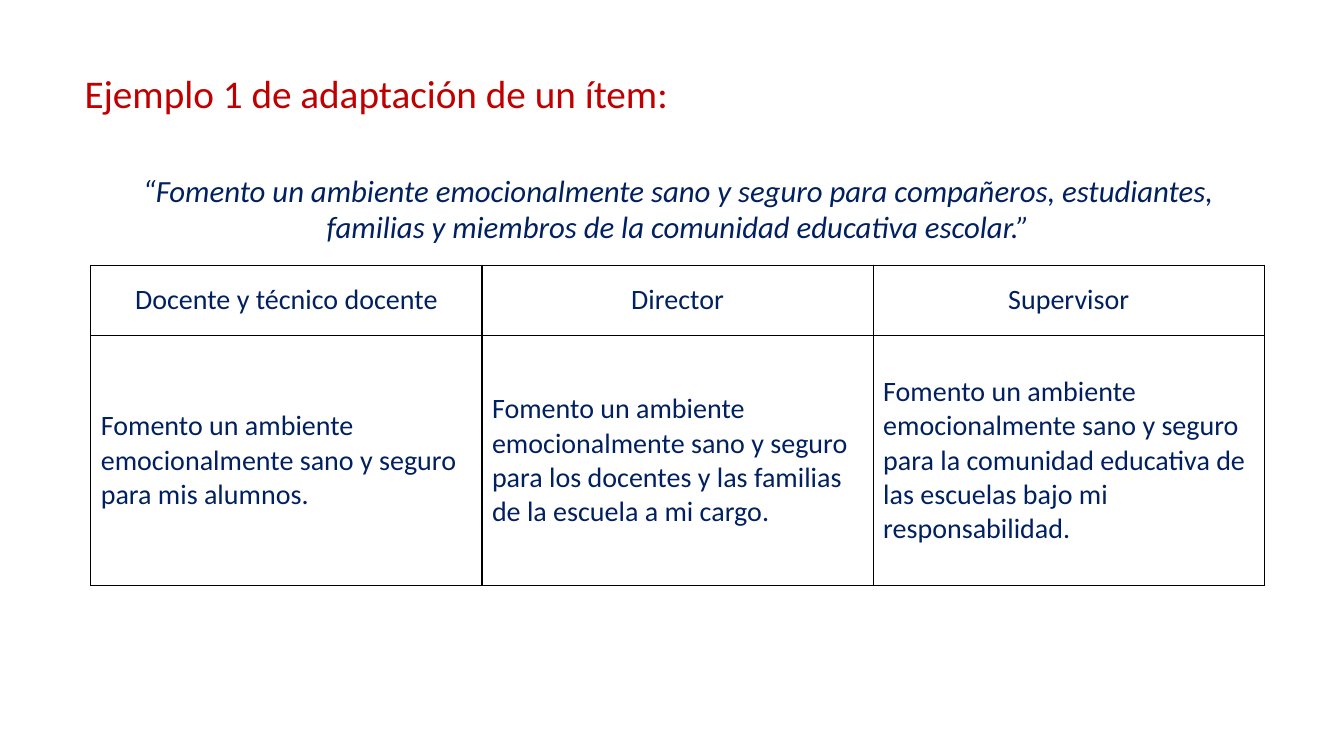
from dataclasses import dataclass

from lxml import etree
from pptx import Presentation
from pptx.dml.color import RGBColor
from pptx.enum.text import MSO_ANCHOR, PP_ALIGN
from pptx.oxml.ns import qn
from pptx.util import Inches, Pt

LEFT, CENTER = PP_ALIGN.LEFT, PP_ALIGN.CENTER
TOP, MIDDLE = MSO_ANCHOR.TOP, MSO_ANCHOR.MIDDLE


@dataclass(frozen=True)
class Theme:
    font: str = "Calibri"
    red: str = "C00000"
    navy: str = "002060"
    line: str = "000000"
    title: int = 28
    quote: int = 22
    body: int = 20
    rule: int = 1


class Page:
    """Draws styled elements on one slide."""

    def __init__(self, slide, theme):
        self.slide = slide
        self.theme = theme

    def phrase(self, frame, text, size, color, align=LEFT, italic=False):
        para = frame.paragraphs[0]
        para.alignment = align
        run = para.add_run()
        run.text = text
        font = run.font
        font.name = self.theme.font
        font.size = Pt(size)
        font.italic = italic
        font.color.rgb = RGBColor.from_string(color)
        return para

    def text(self, box, text, size, color, anchor=TOP, **style):
        frame = self.slide.shapes.add_textbox(*map(Inches, box)).text_frame
        frame.word_wrap = True
        frame.vertical_anchor = anchor
        return self.phrase(frame, text, size, color, **style)

    def border(self, cell):
        props = cell._tc.get_or_add_tcPr()
        for side in ("a:lnL", "a:lnR", "a:lnT", "a:lnB"):
            line = etree.SubElement(props, qn(side), w=str(Pt(self.theme.rule)))
            fill = etree.SubElement(line, qn("a:solidFill"))
            etree.SubElement(fill, qn("a:srgbClr"), val=self.theme.line)

    def table(self, left, top, widths, heights, rows):
        box = map(Inches, (left, top, sum(widths), sum(heights)))
        table = self.slide.shapes.add_table(len(rows), len(widths), *box).table
        table.first_row = False
        table.horz_banding = False
        for col, width in zip(table.columns, widths):
            col.width = Inches(width)
        for row, height, texts, align in zip(table.rows, heights, rows, (CENTER, LEFT)):
            row.height = Inches(height)
            for cell, text in zip(row.cells, texts):
                self.border(cell)
                cell.fill.background()
                cell.vertical_anchor = MIDDLE
                self.phrase(cell.text_frame, text, self.theme.body, self.theme.navy, align)


def main():
    deck = Presentation()
    deck.slide_width, deck.slide_height = Inches(13.33), Inches(7.5)
    theme = Theme()
    page = Page(deck.slides.add_slide(deck.slide_layouts[6]), theme)

    start = "Fomento un ambiente emocionalmente sano y seguro para "
    roles = {
        "Docente y técnico docente": "mis alumnos.",
        "Director": "los docentes y las familias de la escuela a mi cargo.",
        "Supervisor": "la comunidad educativa de las escuelas bajo mi responsabilidad.",
    }
    items = [start + end for end in roles.values()]
    page.table(0.9, 2.63, [3.88] * len(roles), [0.7, 2.48], [list(roles), items])

    title = page.text((0.74, 0.61, 11.5, 0.69), "Ejemplo 1 de adaptación de un ítem:",
                      theme.title, theme.red, MIDDLE)
    title.line_spacing = 0.9

    quote = (f"“{start}compañeros, estudiantes, familias y miembros "
             "de la comunidad educativa escolar.”")
    page.text((1.22, 1.65, 11.01, 0.84), quote, theme.quote, theme.navy,
              align=CENTER, italic=True)
    deck.save("out.pptx")


if __name__ == "__main__":
    main()
